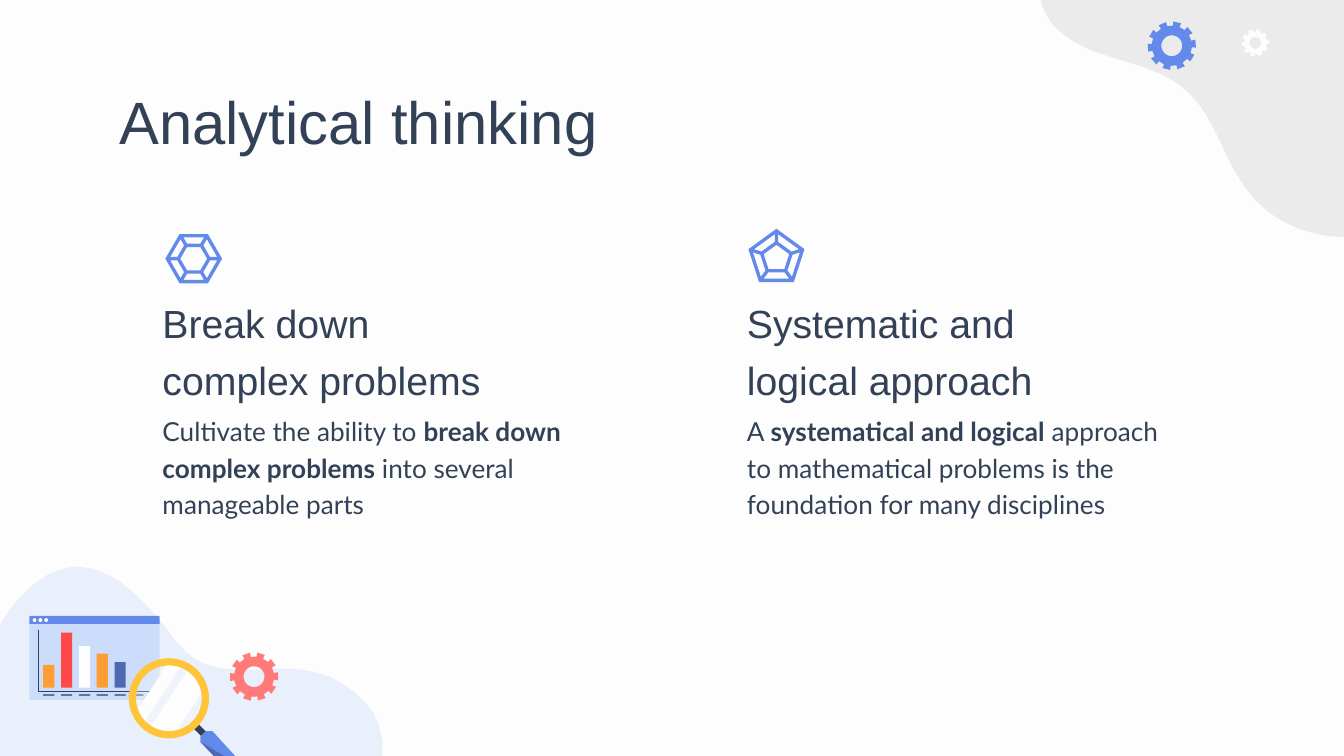
"""Build the "Analytical thinking" slide with its decorated corners."""
import dataclasses
import itertools
import math

import lxml.etree
import pptx
import pptx.dml.color
import pptx.enum.shapes
import pptx.enum.text
import pptx.oxml.ns
import pptx.util

Pt = pptx.util.Pt
RGBColor = pptx.dml.color.RGBColor
SHAPE = pptx.enum.shapes.MSO_SHAPE
ANCHOR = pptx.enum.text.MSO_ANCHOR
Points = list[tuple[float, float]]

WHITE = RGBColor(0xFD, 0xFD, 0xFD)
GREY = RGBColor(0xEB, 0xEB, 0xEB)
PALE = RGBColor(0xCB, 0xDD, 0xFA)
BLUE = RGBColor(0x63, 0x89, 0xEB)
NAVY = RGBColor(0x4C, 0x69, 0xB2)
INK = RGBColor(0x33, 0x41, 0x57)
ORANGE = RGBColor(0xFF, 0x9D, 0x35)
RED = RGBColor(0xFF, 0x49, 0x49)
CORAL = RGBColor(0xFF, 0x7A, 0x78)
YELLOW = RGBColor(0xFF, 0xC5, 0x3A)

LOWER_BLOB = [
    (195.8, 376.6), (197.3, 378), (199.4, 380.9), (200.2, 382.3),
    (223.2, 421.2), (159.1, 475.2), (123.1, 514.1),
    (102.2, 536.4), (105.8, 535), (74.2, 576),
    (49.7, 608.4), (26.6, 606.2), (15.1, 594),
    (13, 592), (9.4, 586.1), (8.6, 581.8),
    (2.2, 560.9), (2.9, 551.5), (-51.8, 517.7),
    (-106.6, 484.6), (-79.2, 457.2), (-41.8, 436.3),
    (-4.3, 414.7), (-25.2, 363.6), (7.2, 324),
    (39.6, 284.4), (69.1, 308.9), (94.3, 343.4),
    (119.5, 377.3), (161.3, 338.4), (195.8, 376.6),
]
UPPER_BLOB = [
    (801.4, -40.3), (817.2, -10.1), (818.6, 27.4), (807.1, 59.8),
    (797, 87.1), (776.9, 111.6), (749.5, 122.4),
    (722.2, 132.5), (687.6, 126.7), (669.6, 103.7),
    (655.2, 86.4), (651.6, 61.9), (634.3, 47.5),
    (624.2, 38.9), (610.6, 35.3), (596.9, 31),
    (583.9, 27.4), (570.2, 21.6), (562.3, 10.8),
    (552.2, -4.3), (555.1, -25.9), (565.9, -41),
    (576.7, -56.2), (593.3, -65.5), (610.6, -72.7),
    (658.1, -92.9), (722.2, -110.2), (768.2, -77.8),
    (781.9, -68.4), (793.4, -55.4), (801.4, -40.3),
]


@dataclasses.dataclass
class Gear:
    """A ten-toothed wheel."""
    x: float
    y: float
    radius: float
    phase: float
    color: RGBColor


@dataclasses.dataclass
class Topic:
    """A column with a faceted icon, a heading and a body."""
    left: float
    sides: int
    icon_x: float
    icon_y: float
    icon_radius: float
    heading: str
    body: list[str]


GEARS = [
    Gear(136.1, 362.5, 13, -1, CORAL),
    Gear(627.8, 24.5, 13, -5, BLUE),
    Gear(672.5, 23, 7.3, -5, WHITE),
]
BARS = [(12.2, ORANGE), (29.5, RED), (22.3, WHITE),
        (18.2, ORANGE), (13.6, NAVY), (29.5, PALE)]
TOPICS = [
    Topic(80, 6, 103.8, 138.6, 15.2, "Break down\ncomplex problems",
          ["Cultivate the ability to ", "break down complex problems",
           " into several manageable parts"]),
    Topic(393.1, 5, 416, 138.4, 15.8, "Systematic and\nlogical approach",
          ["A ", "systematical and logical",
           " approach to mathematical problems is the foundation for many disciplines"]),
]


def polar(x: float, y: float, radius: float, degrees: float) -> tuple[float, float]:
    """Return the point at an angle on a circle."""
    angle = math.radians(degrees)
    return x + radius * math.cos(angle), y + radius * math.sin(angle)


def arc(x: float, y: float, radius: float, start: float, end: float, steps: int) -> Points:
    """Return evenly spaced points along an arc."""
    return [polar(x, y, radius, start + (end - start) * i / steps) for i in range(steps + 1)]


def smooth(knots: Points, steps: int = 16) -> Points:
    """Sample a chain of cubic curves."""
    points = knots[:1]
    for i in range(0, len(knots) - 1, 3):
        for step in range(1, steps + 1):
            t = step / steps
            weights = ((1 - t) ** 3, 3 * t * (1 - t) ** 2, 3 * t * t * (1 - t), t ** 3)
            points.append(tuple(sum(w * knot[axis] for w, knot in zip(weights, knots[i:i + 4]))
                                for axis in (0, 1)))
    return points


def paint(shape, color: RGBColor, alpha: int = 100) -> None:
    """Give a shape a plain fill."""
    shape.shadow.inherit = False
    shape.line.fill.background()
    shape.fill.solid()
    shape.fill.fore_color.rgb = color
    if alpha < 100:
        tone = next(shape._element.iter(pptx.oxml.ns.qn("a:srgbClr")))
        lxml.etree.SubElement(tone, pptx.oxml.ns.qn("a:alpha"), val=str(alpha * 1000))


def draw_outline(page, contours: list[Points], color: RGBColor, alpha: int = 100) -> None:
    """Draw closed contours as one shape; inner ones become holes."""
    scaled = [[(Pt(x), Pt(y)) for x, y in contour] for contour in contours]
    builder = page.shapes.build_freeform(*scaled[0][0])
    builder.add_line_segments(scaled[0][1:], close=True)
    for contour in scaled[1:]:
        builder.move_to(*contour[0])
        builder.add_line_segments(contour[1:], close=True)
    paint(builder.convert_to_shape(), color, alpha)


def draw_preset(page, kind, left: float, top: float, width: float, height: float,
                color: RGBColor, alpha: int = 100):
    """Draw a filled preset shape."""
    shape = page.shapes.add_shape(kind, Pt(left), Pt(top), Pt(width), Pt(height))
    paint(shape, color, alpha)
    return shape


def draw_line(page, start: tuple[float, float], end: tuple[float, float]) -> None:
    """Draw a thin chart axis."""
    line = page.shapes.add_connector(pptx.enum.shapes.MSO_CONNECTOR.STRAIGHT,
                                     *map(Pt, (*start, *end)))
    line.line.color.rgb = INK
    line.line.width = Pt(0.7)
    lxml.etree.SubElement(line._element.spPr, pptx.oxml.ns.qn("a:effectLst"))


def draw_gear(page, gear: Gear) -> None:
    """Draw a gear with a round hole."""
    rim = []
    for tooth in range(10):
        middle = gear.phase + 36 * tooth
        for offset, share in ((-9.5, 0.83), (-9.5, 1), (9.5, 1), (9.5, 0.83)):
            rim.append(polar(gear.x, gear.y, gear.radius * share, middle + offset))
    hole = arc(gear.x, gear.y, gear.radius * 0.43, 0, 360, 36)
    draw_outline(page, [rim, hole], gear.color)


def draw_icon(page, topic: Topic) -> None:
    """Draw a polygon frame with a core and one facet per side."""
    x, y, sides = topic.icon_x, topic.icon_y, topic.sides
    stroke, core, half = 1.8, 7.2, math.pi / sides
    first = -90 if sides % 2 else 0
    corners = [first + 360 * i / sides for i in range(sides)]
    contours = [[polar(x, y, radius, corner) for corner in corners]
                for radius in (topic.icon_radius, core)]
    near = core * math.cos(half) + stroke
    far = topic.icon_radius * math.cos(half) - stroke
    for corner in corners:
        facet = []
        for depth, side in ((near, -1), (near, 1), (far, 1), (far, -1)):
            reach = side * (depth * math.tan(half) - stroke / 2 / math.cos(half))
            turn = math.degrees(half + math.atan2(reach, depth))
            facet.append(polar(x, y, math.hypot(depth, reach), corner + turn))
        contours.append(facet)
    draw_outline(page, contours, BLUE)


def draw_window(page) -> None:
    """Draw the browser window with its bars."""
    draw_preset(page, SHAPE.RECTANGLE, 15.8, 334, 69.8, 41, PALE)
    draw_preset(page, SHAPE.ROUND_2_SAME_RECTANGLE, 15.8, 330, 69.8, 4.3, BLUE)
    for i in range(3):
        draw_preset(page, SHAPE.OVAL, 17.5 + 3.1 * i, 331.2, 2, 2, WHITE)
    for start, end in itertools.pairwise([(20.5, 337.7), (20.5, 370.4), (80.6, 370.4)]):
        draw_line(page, start, end)
    for i, (height, color) in enumerate(BARS):
        left = 23.2 + 9.54 * i
        draw_preset(page, SHAPE.RECTANGLE, left, 368.4 - height, 6, height, color)
        draw_preset(page, SHAPE.RECTANGLE, left, 372, 6, 0.7, INK)


def draw_magnifier(page) -> None:
    """Draw the magnifying glass."""
    x, y, radius = 90.5, 374.1, 19.1
    draw_outline(page, [[(109.4, 396), (112.3, 393.8), (105.8, 387.4), (103, 389.5)]], INK)
    draw_outline(page, [[(130.3, 411.1), (128.2, 412.6), (127.4, 415.4), (123.8, 414.7),
                         (107.3, 397.4), (107.3, 394.6), (110.2, 391.7), (113.8, 391.7),
                         (129.6, 409)]], BLUE)
    draw_outline(page, [[(107.3, 397.4), (123.8, 414.7), (127.4, 415.4), (130.3, 411.1)]], NAVY)
    draw_preset(page, SHAPE.OVAL, x - radius, y - radius, 2 * radius, 2 * radius, WHITE, 30)
    for lower, upper in (((80, 123), (-56, -14)), ((135, 157), (-91, -69))):
        draw_outline(page, [arc(x, y, radius, *lower, 8) + arc(x, y, radius, *upper, 8)], WHITE)
    ring = draw_preset(page, SHAPE.DONUT, x - 21.5, y - 21.5, 43, 43, YELLOW)
    ring.adjustments[0] = 0.09


def write(page, left: float, top: float, width: float, height: float, spans: list[str],
          size: float, font: str, spacing: float, anchor=ANCHOR.TOP) -> None:
    """Write spans in a text box, every second one bold."""
    box = page.shapes.add_textbox(Pt(left), Pt(top), Pt(width), Pt(height))
    frame = box.text_frame
    frame.word_wrap = True
    frame.vertical_anchor = anchor
    frame.margin_left = frame.margin_right = frame.margin_top = frame.margin_bottom = Pt(7.2)
    frame.text = spans[0]
    for text in spans[1:]:
        frame.paragraphs[-1].add_run().text = text
    for para in frame.paragraphs:
        para.line_spacing = spacing
        for i, span in enumerate(para.runs):
            span.font.name = font
            span.font.size = Pt(size)
            span.font.bold = i % 2 == 1
            span.font.color.rgb = INK


def main() -> None:
    """Assemble and save the deck."""
    deck = pptx.Presentation()
    deck.slide_width, deck.slide_height = Pt(720), Pt(405)
    page = deck.slides.add_slide(deck.slide_layouts[6])
    page.background.fill.solid()
    page.background.fill.fore_color.rgb = WHITE
    draw_outline(page, [smooth(LOWER_BLOB)], PALE, 39)
    draw_outline(page, [smooth(UPPER_BLOB)], GREY)
    draw_window(page)
    draw_magnifier(page)
    for gear in GEARS:
        draw_gear(page, gear)
    write(page, 56.9, 35.3, 607, 45.4, ["Analytical thinking"], 32, "Arial", 1.08)
    for topic in TOPICS:
        draw_icon(page, topic)
        write(page, topic.left, 154.8, 247.7, 68.4, [topic.heading], 21, "Arial", 1.2,
              ANCHOR.BOTTOM)
        write(page, topic.left, 213.1, 247.7, 89.3, topic.body, 14, "Lato", 1.15)
    deck.save("out.pptx")


if __name__ == "__main__":
    main()
